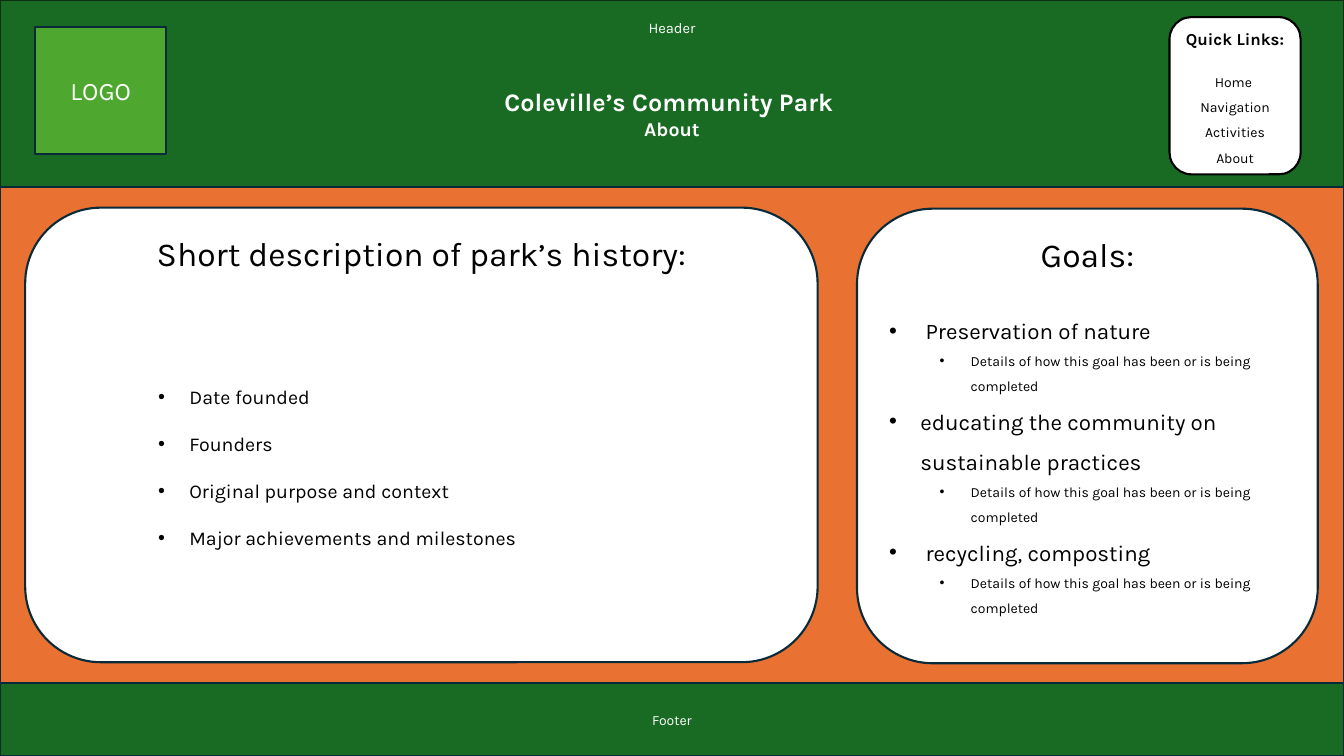
from typing import NamedTuple

from lxml.etree import SubElement
from pptx import Presentation
from pptx.dml.color import RGBColor
from pptx.enum.shapes import MSO_SHAPE
from pptx.enum.text import MSO_ANCHOR, MSO_AUTO_SIZE, PP_ALIGN
from pptx.oxml.ns import qn
from pptx.util import Inches, Pt

COLORS = {
    "white": "FFFFFF", "black": "000000", "green": "196B24", "leaf": "4EA72E",
    "orange": "E97132", "outline": "092A39", "header_outline": "0B2F10",
}
FONT = "Karla"
SLIDE_WIDTH, SLIDE_HEIGHT = 13.33, 7.5
HEADER_HEIGHT, FOOTER_HEIGHT = 1.86, 0.72
HANGING = 0.31
BLANK_LINE = 21
GOAL_DETAIL = "Details of how this goal has been or is being completed"
LINKS = ["Home ", "Navigation", "Activities", "About"]
HISTORY = ["Date founded", "Founders", "Original purpose and context",
           "Major achievements and milestones"]
GOALS = [" Preservation of nature", "educating the community on sustainable practices",
         " recycling, composting"]


class Box(NamedTuple):
    """A rectangle in inches."""
    left: float
    top: float
    width: float
    height: float

    def inner(self, left, top, width, height):
        """Return a box offset from this one's corner."""
        return Box(self.left + left, self.top + top, width, height)


def color(name):
    """Look up a named colour."""
    return RGBColor.from_string(COLORS[name])


def add_panel(page, box, fill, outline="outline", preset=MSO_SHAPE.RECTANGLE):
    """Add a filled and outlined shape without a shadow."""
    panel = page.shapes.add_shape(preset, *map(Inches, box))
    panel.shadow.inherit = False
    panel.fill.solid()
    panel.fill.fore_color.rgb = color(fill)
    panel.line.color.rgb = color(outline)
    panel.line.width = Pt(1.5)
    panel.text_frame.word_wrap = True
    return panel


def write(frame, text, size, ink="white", bold=False, align=PP_ALIGN.CENTER,
          spacing=1.0, after=0):
    """Write text into the first empty paragraph or a new one."""
    paragraph = frame.add_paragraph() if frame.text else frame.paragraphs[0]
    paragraph.text = text
    paragraph.alignment = align
    paragraph.line_spacing = spacing
    paragraph.space_before, paragraph.space_after = Pt(0), Pt(after)
    for span in paragraph.runs:
        span.font.name = FONT
        span.font.size = Pt(size)
        span.font.bold = bold
        span.font.color.rgb = color(ink)
    return paragraph


def write_bullet(frame, text, size, level, spacing):
    """Write a bulleted paragraph indented half an inch per level."""
    paragraph = write(frame, text, size, "black", align=PP_ALIGN.LEFT, spacing=spacing)
    paragraph.level = level
    properties = paragraph._p.get_or_add_pPr()
    properties.set("marL", str(Inches(HANGING + level / 2)))
    properties.set("indent", str(-Inches(HANGING)))
    SubElement(properties, qn("a:buFont")).set("typeface", "Arial")
    SubElement(properties, qn("a:buChar")).set("char", "•")


def anchor_top(frame, margin):
    """Start the text at the top, below the given margin."""
    frame.vertical_anchor = MSO_ANCHOR.TOP
    frame.margin_top = Inches(margin)


def build_header(page, box):
    """Build the header band with its title, logo field and quick links."""
    band = add_panel(page, box, "green", "header_outline")
    anchor_top(band.text_frame, 0.19)
    write(band.text_frame, "Header", 10.5)

    title = page.shapes.title
    title.left, title.top, title.width, title.height = map(
        Inches, box.inner(0, 0.86, box.width, 0.52))
    frame = title.text_frame
    frame.auto_size = MSO_AUTO_SIZE.NONE
    anchor_top(frame, 0)
    frame.margin_bottom = 0
    write(frame, "Coleville’s Community Park ", 18, bold=True)
    write(frame, "About", 14, bold=True)
    band.element.addnext(title.element)

    logo = add_panel(page, box.inner(0.35, 0.27, 1.3, 1.26), "leaf")
    write(logo.text_frame, "LOGO", 18)
    build_links(page, box.inner(11.6, 0.17, 1.3, 1.56))


def build_links(page, box):
    """Build the rounded list of quick links."""
    card = add_panel(page, box, "white", "black", MSO_SHAPE.ROUNDED_RECTANGLE)
    frame = card.text_frame
    anchor_top(frame, 0.05)
    frame.margin_left = frame.margin_right = Inches(0.05)
    write(frame, "Quick Links:", 12, "black", bold=True, after=11.7)
    for link in LINKS:
        write(frame, link, 10, "black", spacing=1.5)


def build_card(page, box, heading, gap):
    """Build a rounded card with a heading and return its text frame."""
    card = add_panel(page, box, "white", preset=MSO_SHAPE.ROUNDED_RECTANGLE)
    anchor_top(card.text_frame, 0.03)
    write(card.text_frame, heading, 24, "black", after=gap)
    return card.text_frame


def build_body(page, box):
    """Build the body with the history and goals cards."""
    add_panel(page, box, "orange")
    history = build_card(page, box.inner(0.25, 0.2, 7.86, 4.51),
                         "Short description of park’s history:", 3 * BLANK_LINE)
    for fact in HISTORY:
        write_bullet(history, fact, 14, 2, 2.0)
    goals = build_card(page, box.inner(8.5, 0.21, 4.57, 4.51), "Goals:", BLANK_LINE)
    for goal in GOALS:
        write_bullet(goals, goal, 16, 0, 1.5)
        write_bullet(goals, GOAL_DETAIL, 10, 1, 1.5)


def build_footer(page, box):
    """Build the footer band."""
    band = add_panel(page, box, "green")
    band.text_frame.vertical_anchor = MSO_ANCHOR.MIDDLE
    write(band.text_frame, "Footer", 10)


def main():
    """Build and save the deck."""
    deck = Presentation()
    deck.slide_width, deck.slide_height = Inches(SLIDE_WIDTH), Inches(SLIDE_HEIGHT)
    page = deck.slides.add_slide(deck.slide_layouts[5])
    build_header(page, Box(0, 0, SLIDE_WIDTH, HEADER_HEIGHT))
    build_body(page, Box(0, HEADER_HEIGHT, SLIDE_WIDTH, SLIDE_HEIGHT - HEADER_HEIGHT))
    build_footer(page, Box(0, SLIDE_HEIGHT - FOOTER_HEIGHT, SLIDE_WIDTH, FOOTER_HEIGHT))
    deck.save("out.pptx")


if __name__ == "__main__":
    main()
